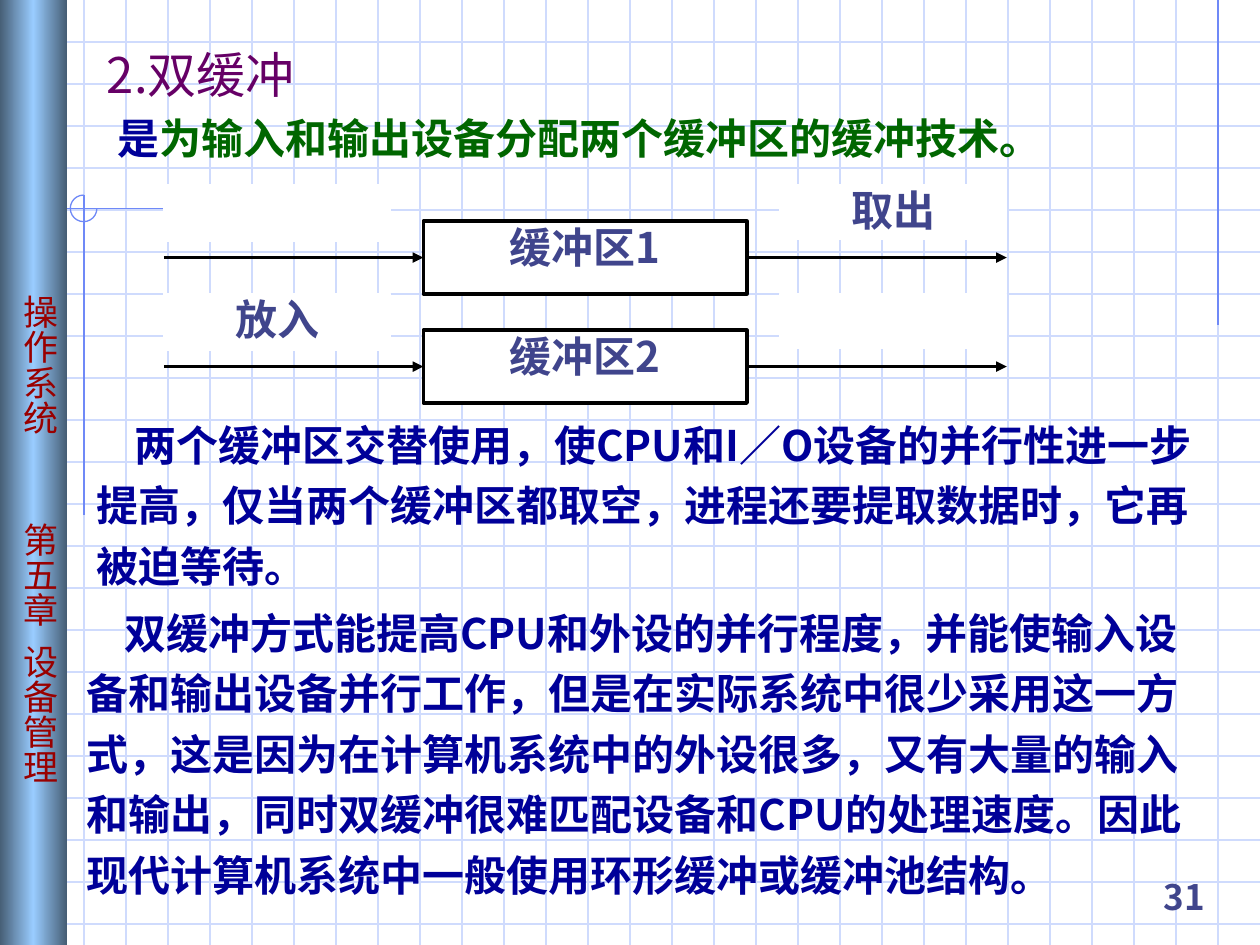
import copy

import pptx
import pptx.dml.color
import pptx.enum.shapes
import pptx.enum.text
import pptx.oxml.ns
import pptx.util
from lxml import etree

Pt = pptx.util.Pt
qn = pptx.oxml.ns.qn
SHAPE = pptx.enum.shapes.MSO_SHAPE
ALIGN = pptx.enum.text.PP_ALIGN
ANCHOR = pptx.enum.text.MSO_ANCHOR

WIDTH, HEIGHT, GRID = 720, 540, 24
SANS, SERIF = "Noto Sans CJK SC", "Times New Roman"
COLORS = {
    "white": "FFFFFF",
    "black": "000000",
    "grid": "CFDBFD",
    "ornament": "6F89F7",
    "bar_edge": "465E75",
    "bar_middle": "99CCFF",
    "chapter": "990000",
    "title": "660066",
    "body": "000099",
    "definition": "006600",
    "label": "40458C",
}
ALTERNATION = "两个缓冲区交替使用，使CPU和I／O设备的并行性进一步提高，仅当两个缓冲区都取空，进程还要提取数据时，它再被迫等待。"
EVALUATION = (
    "双缓冲方式能提高CPU和外设的并行程度，并能使输入设备和输出设备并行工作，"
    "但是在实际系统中很少采用这一方式，这是因为在计算机系统中的外设很多，"
    "又有大量的输入和输出，同时双缓冲很难匹配设备和CPU的处理速度。"
    "因此现代计算机系统中一般使用环形缓冲或缓冲池结构。"
)


def rgb(name):
    return pptx.dml.color.RGBColor.from_string(COLORS[name])


def add_line(s, start, end, color, width=0.75, arrow=False):
    c = s.shapes.add_connector(
        pptx.enum.shapes.MSO_CONNECTOR.STRAIGHT, *(Pt(v) for v in start + end)
    )
    c.line.color.rgb = rgb(color)
    c.line.width = Pt(width)
    if arrow:
        etree.SubElement(c.line._get_or_add_ln(), qn("a:tailEnd"), type="triangle")
    etree.SubElement(c._element.spPr, qn("a:effectLst"))
    return c


def add_shape(s, kind, box, fill=None, line=None, width=0.75):
    sp = s.shapes.add_shape(kind, *(Pt(v) for v in box))
    sp.shadow.inherit = False
    if fill:
        sp.fill.solid()
        sp.fill.fore_color.rgb = rgb(fill)
    else:
        sp.fill.background()
    if line:
        sp.line.color.rgb = rgb(line)
        sp.line.width = Pt(width)
    else:
        sp.line.fill.background()
    return sp


def set_frame(tf, insets, anchor=ANCHOR.TOP):
    tf.word_wrap = True
    tf.vertical_anchor = anchor
    tf.margin_left = tf.margin_right = Pt(insets[0])
    tf.margin_top = tf.margin_bottom = Pt(insets[1])


def add_run(p, text, size, color, bold=True, latin=SANS):
    r = p.add_run()
    r.text = text
    r.font.size = Pt(size)
    r.font.bold = bold
    r.font.color.rgb = rgb(color)
    r.font.name = latin
    etree.SubElement(r._r.get_or_add_rPr(), qn("a:ea"), typeface=SANS)


def add_text(s, box, runs, align=ALIGN.LEFT, spacing=1.0, indent=0, anchor=ANCHOR.TOP):
    tf = s.shapes.add_textbox(*(Pt(v) for v in box)).text_frame
    set_frame(tf, (7.2, 3.6), anchor)
    p = tf.paragraphs[0]
    p.alignment = align
    p.line_spacing = spacing
    if indent:
        p._p.get_or_add_pPr().set("indent", str(Pt(indent)))
    for run in runs:
        add_run(p, *run)


def add_label(sp, text, latin=SANS):
    set_frame(sp.text_frame, (0, 0))
    p = sp.text_frame.paragraphs[0]
    p.alignment = ALIGN.CENTER
    add_run(p, text, 24, "label", latin=latin)


def add_background(s):
    for y in range(GRID, HEIGHT, GRID):
        add_line(s, (0, y), (WIDTH, y), "grid")
    for x in range(GRID, WIDTH, GRID):
        add_line(s, (x, 0), (x, HEIGHT), "grid")
    add_line(s, (696, 0), (696, 186), "ornament")
    add_line(s, (173, 119.3), (32.4, 119.3), "ornament")
    add_line(s, (48, 111.6), (48, 294.5), "ornament")
    arc = add_shape(s, SHAPE.ARC, (40.2, 111.5, 15.2, 15.2), line="ornament")
    arc.adjustments[0] = 0
    arc.adjustments[1] = 162


def add_sidebar(s):
    sp = add_shape(s, SHAPE.RECTANGLE, (0, 0, 38.2, HEIGHT))
    sp.fill.gradient()
    sp.fill.gradient_angle = 0
    stops = sp._element.spPr.find(qn("a:gradFill")).find(qn("a:gsLst"))
    stops.append(copy.deepcopy(stops[0]))
    names = ("bar_edge", "bar_middle", "bar_edge")
    for i, (stop, name) in enumerate(zip(sp.fill.gradient_stops, names)):
        stop.position = i / 2
        stop.color.rgb = rgb(name)
    tf = sp.text_frame
    set_frame(tf, (3.6, 7.2))
    tf._txBody.bodyPr.set("vert", "eaVert")
    p = tf.paragraphs[0]
    p.alignment = ALIGN.LEFT
    tabs = etree.SubElement(p._p.get_or_add_pPr(), qn("a:tabLst"))
    for pos in (161.5, 291.5, 361):
        etree.SubElement(tabs, qn("a:tab"), pos=str(Pt(pos)), algn="l")
    add_run(p, "\t操作系统\t第五章\t设备管理", 20, "chapter", bold=False)


def add_buffer_row(s, top, name, put="", take=""):
    middle = top + 20.8
    buffer = add_shape(
        s, SHAPE.RECTANGLE, (241.9, top, 185, 41.6), "white", "black", 2
    )
    add_label(buffer, name)
    arrow_in = add_line(s, (93.6, middle), (241.9, middle), "black", 2, True)
    arrow_in.end_connect(buffer, 1)
    arrow_out = add_line(s, (426.9, middle), (575.3, middle), "black", 2, True)
    arrow_out.begin_connect(buffer, 3)
    for x, height, text in ((93.6, 32.4, put), (445.7, 31, take)):
        sp = add_shape(
            s, SHAPE.RECTANGLE, (x, top - 20.8, 129.6, height), "white", "white"
        )
        if text:
            add_label(sp, text, SERIF)


def main():
    prs = pptx.Presentation()
    prs.slide_width, prs.slide_height = Pt(WIDTH), Pt(HEIGHT)
    s = prs.slides.add_slide(prs.slide_layouts[6])
    s.background.fill.solid()
    s.background.fill.fore_color.rgb = rgb("white")
    add_background(s)
    add_sidebar(s)
    add_text(s, (54, 15.1, 192.2, 47.5), [("2.双缓冲", 28, "title", False)],
             ALIGN.JUSTIFY, 1.2)
    add_text(s, (48.2, 230.4, 646.6, 110.9), [(ALTERNATION, 24, "body")],
             spacing=1.2, indent=21.5)
    add_text(s, (59.8, 60.5, 555.8, 36),
             [("是", 24, "body"),
              ("为输入和输出设备分配两个缓冲区的缓冲技术。", 24, "definition")])
    add_text(s, (42.5, 337.7, 652.3, 180), [(EVALUATION, 24, "body")],
             spacing=1.2, indent=21.5)
    add_buffer_row(s, 126.4, "缓冲区1", take="取出")
    add_buffer_row(s, 188.7, "缓冲区2", put="放入")
    add_text(s, (635.8, 491.8, 59.8, 36), [("31", 20, "label")],
             ALIGN.RIGHT, anchor=ANCHOR.BOTTOM)
    prs.save("out.pptx")


if __name__ == "__main__":
    main()
